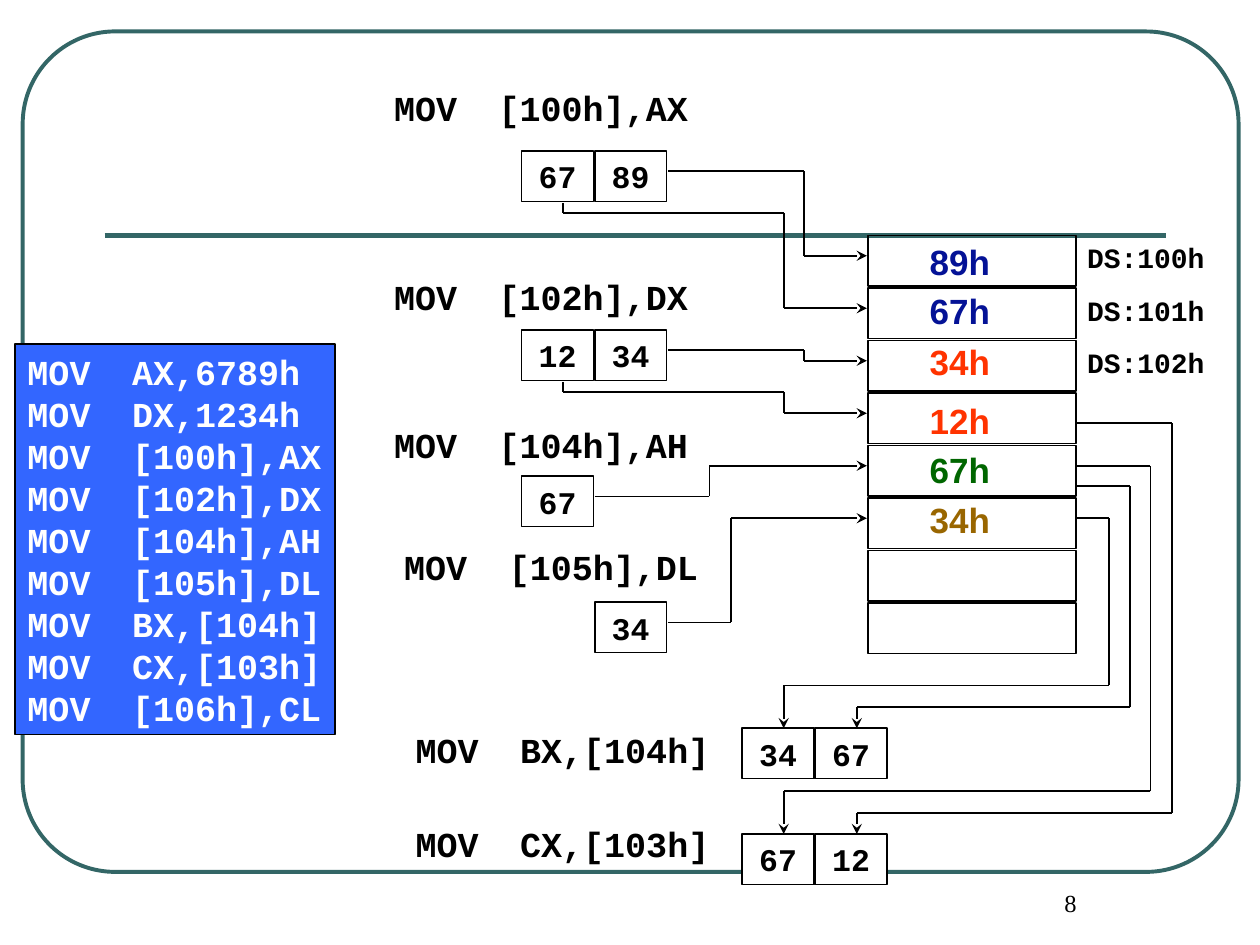
from itertools import pairwise

from lxml import etree
from pptx import Presentation
from pptx.dml.color import RGBColor
from pptx.enum import shapes, text
from pptx.oxml.ns import qn
from pptx.util import Inches, Pt

MONO = {"name": "Courier New", "bold": True}
CELL_STEP, CELL_W, CELL_H = 0.58, 0.57, 0.4
ROW = 5 / 12                      # pitch of the memory rows
MEMORY = (6.89, 1.87, 1.65)       # left, top, width


def colour(value):
    return RGBColor.from_string(value)


def write(shape, lines, size, ink="000000", align=text.PP_ALIGN.LEFT,
          anchor=text.MSO_ANCHOR.TOP, wrap=False, leading=None, tab=None, **face):
    frame = shape.text_frame
    frame.word_wrap, frame.vertical_anchor = wrap, anchor
    for index, line in enumerate(lines):
        para = frame.paragraphs[0] if index == 0 else frame.add_paragraph()
        para.alignment = align
        if leading:
            para.line_spacing = Pt(leading)
        if tab:
            stops = etree.SubElement(para._p.get_or_add_pPr(), qn("a:tabLst"))
            etree.SubElement(stops, qn("a:tab"), pos=str(Inches(tab)), algn="l")
        span = para.add_run()
        span.text = line
        for name, value in {"size": Pt(size), **face}.items():
            setattr(span.font, name, value)
        span.font.color.rgb = colour(ink)


def add_text(page, box, line, size, **style):
    label = page.shapes.add_textbox(*map(Inches, box))
    write(label, [line], size, **style)


def add_box(page, box, fill=None, line="000000", weight=1,
            kind=shapes.MSO_SHAPE.RECTANGLE):
    shape = page.shapes.add_shape(kind, *map(Inches, box))
    shape.shadow.inherit = False
    if fill:
        shape.fill.solid()
        shape.fill.fore_color.rgb = colour(fill)
    else:
        shape.fill.background()
    shape.line.color.rgb = colour(line)
    shape.line.width = Pt(weight)
    return shape


def add_line(page, start, end, line="000000", weight=1, arrow=False):
    wire = page.shapes.add_connector(shapes.MSO_CONNECTOR.STRAIGHT,
                                     *map(Inches, (*start, *end)))
    wire.line.color.rgb = colour(line)
    wire.line.width = Pt(weight)
    if arrow:
        etree.SubElement(wire.line._get_or_add_ln(), qn("a:tailEnd"), type="stealth")
    etree.SubElement(wire._element.spPr, qn("a:effectLst"))


def add_route(page, points):
    """Draw straight wires through the points, with an arrow on the last."""
    legs = list(pairwise(points))
    for index, (start, end) in enumerate(legs):
        add_line(page, start, end, arrow=index == len(legs) - 1)


def memory_pin(row):
    return MEMORY[1] + 0.16 + row * ROW


def frame(page, left, top, width, height):
    border = add_box(page, (left, top, width, height), line="336666", weight=2.25,
                     kind=shapes.MSO_SHAPE.ROUNDED_RECTANGLE)
    border.adjustments[0] = 0.11
    rule_y = top + 1.62
    add_line(page, (left + 0.65, rule_y), (left + 9.07, rule_y), "336666", 3)


def memory(page, left, top, width):
    for row in range(8):
        add_box(page, (left, top + row * ROW, width, CELL_H))
    for row, address in enumerate(("DS:100h", "DS:101h", "DS:102h")):
        add_text(page, (left + width - 0.01, top - 0.01 + row * ROW, 1.13, 0.37),
                 address, 16, **MONO)


def memory_values(page, left, top):
    values = (("89h", "041296", 0), ("67h", "041296", 0.39), ("34h", "FF3300", 0.79),
              ("12h", "FF3300", 1.26), ("67h", "006600", 1.65), ("34h", "996600", 2.05))
    for value, ink, offset in values:
        add_text(page, (left, top + offset, 0.79, 0.44), value, 20, ink=ink,
                 wrap=True, name="Arial", bold=True)


def register(page, left, top, values):
    for index, value in enumerate(values):
        cell = add_box(page, (left + index * CELL_STEP, top, CELL_W, CELL_H), "FFFFFF")
        write(cell, [value], 18, align=text.PP_ALIGN.CENTER,
              anchor=text.MSO_ANCHOR.MIDDLE, **MONO)


def instruction(page, left, top, caption):
    add_text(page, (left, top, 2.54, 0.43), caption, 20, tab=0.83, **MONO)


def store(page, left, top, values, side_lane, row):
    """Register whose bytes go to memory, the last one from its right side."""
    register(page, left, top, values)
    side, port, target = left + len(values) * CELL_STEP, top + 0.16, MEMORY[0] - 0.01
    add_route(page, [(side, port), (side_lane, port),
                     (side_lane, memory_pin(row)), (target, memory_pin(row))])
    if len(values) == 2:          # high byte leaves from below
        x, low, lane, pin = left + 0.33, top + 0.49, 6.22, memory_pin(row + 1)
        add_route(page, [(x, top + 0.41), (x, low), (lane, low),
                         (lane, pin), (target, pin)])


def load(page, left, top, values, sources):
    """Register filled from memory; sources holds (start y, lane x) per byte."""
    register(page, left, top, values)
    start_x = MEMORY[0] + MEMORY[2] + 0.01
    for index, (start_y, lane) in enumerate(sources):
        x = left + 0.33 + index * CELL_STEP
        shelf = top - 0.34 + index * 0.17
        add_route(page, [(start_x, start_y), (lane, start_y), (lane, shelf),
                         (x, shelf), (x, top)])


def listing(page, left, top, width, height):
    code = ["MOV\tAX,6789h", "MOV\tDX,1234h", "MOV\t[100h],AX", "MOV\t[102h],DX",
            "MOV\t[104h],AH", "MOV\t[105h],DL", "MOV\tBX,[104h]", "MOV\tCX,[103h]",
            "MOV\t[106h],CL"]
    panel = add_box(page, (left, top, width, height), "3366FF", weight=0.75)
    write(panel, code, 20, ink="FFFFFF", leading=24, tab=0.83, **MONO)


def main():
    deck = Presentation()
    deck.slide_width, deck.slide_height = Inches(10), Inches(7.5)
    page = deck.slides.add_slide(deck.slide_layouts[6])

    # Border, rule and memory column
    frame(page, 0.18, 0.25, 9.65, 6.67)
    memory(page, *MEMORY)

    # Instructions beside their registers
    for left, top, caption in ((3.03, 0.64, "MOV\t[100h],AX"), (3.03, 2.14, "MOV\t[102h],DX"),
                               (3.03, 3.31, "MOV\t[104h],AH"), (3.11, 4.28, "MOV\t[105h],DL"),
                               (3.2, 5.73, "MOV\tBX,[104h]"), (3.2, 6.48, "MOV\tCX,[103h]")):
        instruction(page, left, top, caption)

    # Register to memory
    store(page, 4.14, 1.2, ("67", "89"), 6.38, 0)
    store(page, 4.14, 2.62, ("12", "34"), 6.38, 2)
    store(page, 4.14, 3.78, ("67",), 5.63, 4)
    store(page, 4.72, 4.78, ("34",), 5.8, 5)

    # Memory to register
    load(page, 5.89, 5.78, ("34", "67"), ((memory_pin(5), 8.8), (3.86, 8.97)))
    load(page, 5.89, 6.62, ("67", "12"), ((memory_pin(4), 9.13), (3.36, 9.3)))

    # Program, memory contents and page number
    listing(page, 0.12, 2.73, 2.54, 3.1)
    memory_values(page, 7.28, 1.86)
    add_text(page, (7.62, 7, 1.75, 0.5), "8", 14, align=text.PP_ALIGN.CENTER,
             wrap=True, name="Times New Roman")
    deck.save("out.pptx")


if __name__ == "__main__":
    main()
